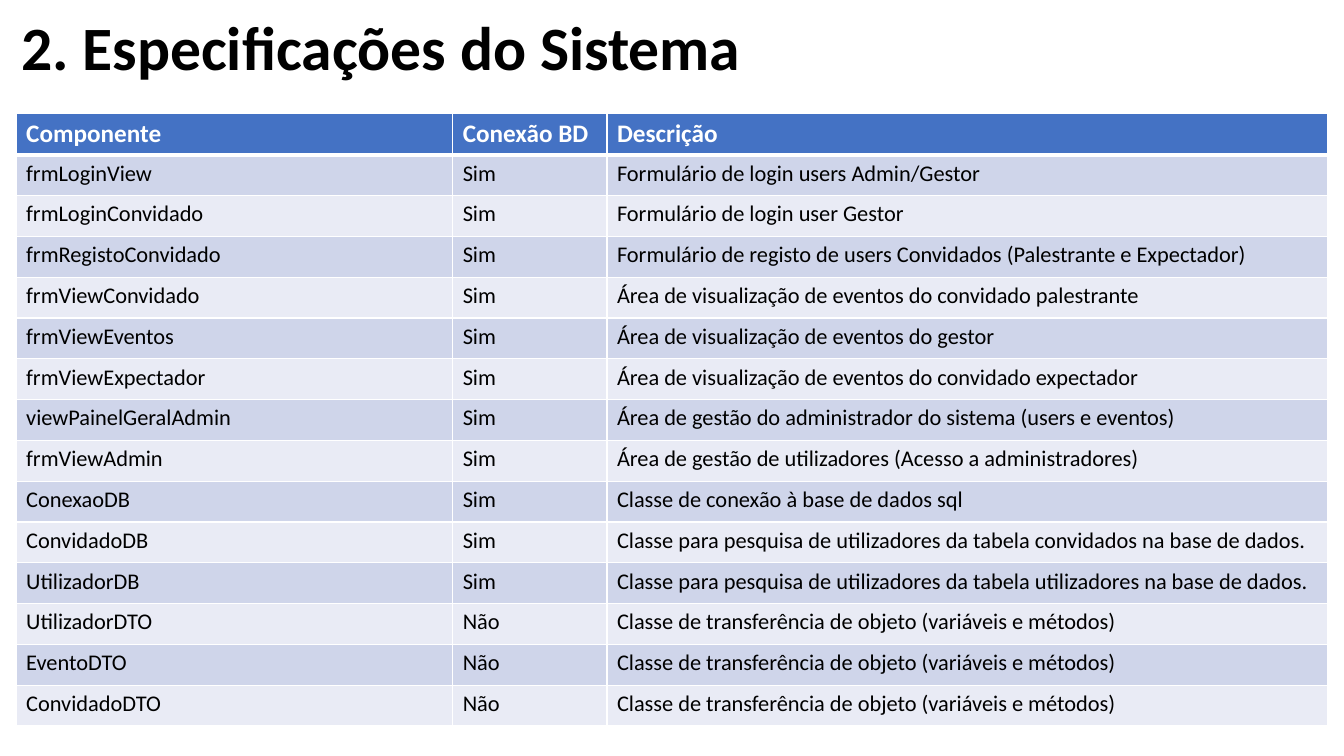
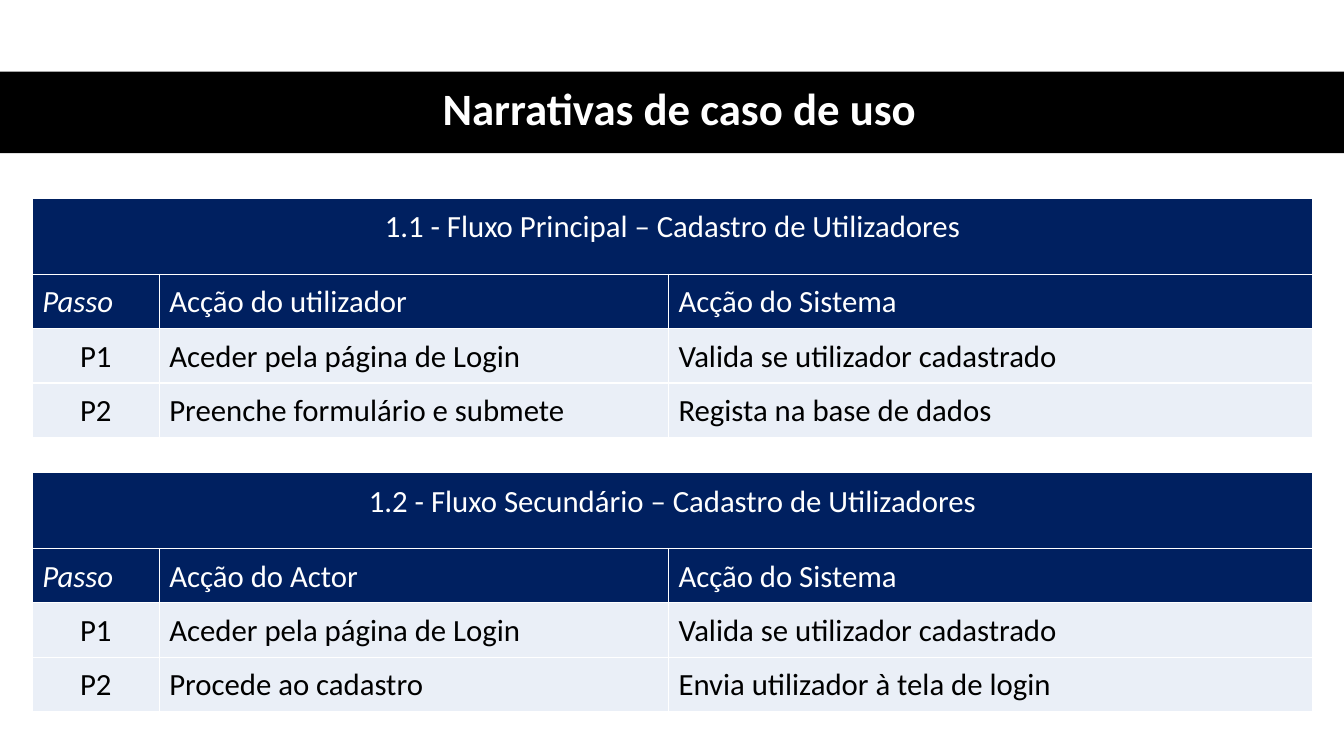
"""Build two slides: system components and use case narratives."""
from lxml import etree
from pptx import Presentation
from pptx.dml.color import RGBColor
from pptx.enum.shapes import MSO_SHAPE
from pptx.enum.text import MSO_ANCHOR, PP_ALIGN
from pptx.oxml.ns import qn
from pptx.util import Inches, Pt

LEFT, CENTER = PP_ALIGN.LEFT, PP_ALIGN.CENTER
TOP, MIDDLE = MSO_ANCHOR.TOP, MSO_ANCHOR.MIDDLE
RECTANGLE = MSO_SHAPE.RECTANGLE
FONT = "Calibri"
COLORS = {
    "black": "000000",
    "white": "FFFFFF",
    "blue": "4472C4",
    "band_dark": "CFD5EA",
    "band_light": "E9EBF5",
    "navy": "002060",
    "pale": "EAEFF7",
}

COMPONENTS_TITLE = "2. Especificações do Sistema"
COMPONENTS_HEADER = ("Componente", "Conexão BD", "Descrição")
TRANSFER_CLASS = "Classe de transferência de objeto (variáveis e métodos)"
COMPONENTS = [
    ("frmLoginView", "Sim", "Formulário de login users Admin/Gestor"),
    ("frmLoginConvidado", "Sim", "Formulário de login user Gestor"),
    ("frmRegistoConvidado", "Sim",
     "Formulário de registo de users Convidados (Palestrante e Expectador)"),
    ("frmViewConvidado", "Sim", "Área de visualização de eventos do convidado palestrante"),
    ("frmViewEventos", "Sim", "Área de visualização de eventos do gestor"),
    ("frmViewExpectador", "Sim", "Área de visualização de eventos do convidado expectador"),
    ("viewPainelGeralAdmin", "Sim",
     "Área de gestão do administrador do sistema (users e eventos)"),
    ("frmViewAdmin", "Sim", "Área de gestão de utilizadores (Acesso a administradores)"),
    ("ConexaoDB", "Sim", "Classe de conexão à base de dados sql"),
    ("ConvidadoDB", "Sim",
     "Classe para pesquisa de utilizadores da tabela convidados na base de dados."),
    ("UtilizadorDB", "Sim",
     "Classe para pesquisa de utilizadores da tabela utilizadores na base de dados."),
    ("UtilizadorDTO", "Não", TRANSFER_CLASS),
    ("EventoDTO", "Não", TRANSFER_CLASS),
    ("ConvidadoDTO", "Não", TRANSFER_CLASS),
]
COMPONENT_COLUMNS = (4.33, 1.53, 7.15)
COMPONENT_ROW = 0.405

NARRATIVES_TITLE = "Narrativas de caso de uso"
NARRATIVES = [
    ("1.1 - Fluxo Principal – Cadastro de Utilizadores", [
        ("Passo", "Acção do utilizador", "Acção do Sistema"),
        ("P1", "Aceder pela página de Login", "Valida se utilizador cadastrado"),
        ("P2", "Preenche formulário e submete", "Regista na base de dados"),
    ]),
    ("1.2 - Fluxo Secundário – Cadastro de Utilizadores", [
        ("Passo", "Acção do Actor", "Acção do Sistema"),
        ("P1", "Aceder pela página de Login", "Valida se utilizador cadastrado"),
        ("P2", "Procede ao cadastro", "Envia utilizador à tela de login"),
    ]),
]
NARRATIVE_COLUMNS = (1.26, 5.05, 6.39)
NARRATIVE_ROWS = (0.75, 0.54, 0.54, 0.54)
NARRATIVE_TOP, NARRATIVE_STEP = 1.97, 2.72


def color(name):
    return RGBColor.from_string(COLORS[name])


def write(frame, text, size, ink="black", bold=False, italic=False, align=LEFT, spacing=1.0):
    paragraph = frame.paragraphs[0]
    paragraph.alignment = align
    paragraph.line_spacing = spacing
    run = paragraph.add_run()
    run.text = text
    font = run.font
    font.name, font.size, font.bold, font.italic = FONT, Pt(size), bold, italic
    font.color.rgb = color(ink)


def add_titled_slide(text, box, **text_format):
    slide = presentation.slides.add_slide(presentation.slide_layouts[5])
    title = slide.shapes.title
    title.left, title.top, title.width, title.height = map(Inches, box)
    title.text_frame.word_wrap = True
    title.text_frame.vertical_anchor = MIDDLE
    write(title.text_frame, text, bold=True, spacing=0.9, **text_format)
    return slide


def add_grid(slide, left, top, columns, rows):
    frame = slide.shapes.add_table(len(rows), len(columns), Inches(left), Inches(top),
                                   Inches(sum(columns)), Inches(sum(rows)))
    table = frame.table
    for column, width in zip(table.columns, columns):
        column.width = Inches(width)
    for row, height in zip(table.rows, rows):
        row.height = Inches(height)
    return table


def format_cell(cell, fill, anchor=TOP, insets=(0.1, 0.05, 0.1, 0.05), top=1, bottom=1):
    properties = cell._tc.get_or_add_tcPr()
    for side, width in (("L", 1), ("R", 1), ("T", top), ("B", bottom)):
        line = etree.SubElement(properties, qn(f"a:ln{side}"), w=str(Pt(width)))
        solid = etree.SubElement(line, qn("a:solidFill"))
        etree.SubElement(solid, qn("a:srgbClr"), val=COLORS["white"])
    cell.fill.solid()
    cell.fill.fore_color.rgb = color(fill)
    cell.vertical_anchor = anchor
    cell.margin_left, cell.margin_top, cell.margin_right, cell.margin_bottom = map(Inches, insets)


def add_components(slide):
    rows = [COMPONENTS_HEADER] + COMPONENTS
    table = add_grid(slide, 0.16, 1.13, COMPONENT_COLUMNS, [COMPONENT_ROW] * len(rows))
    for row, texts in enumerate(rows):
        header = row == 0
        fill = "blue" if header else ("band_light", "band_dark")[row % 2]
        for column, text in enumerate(texts):
            cell = table.cell(row, column)
            format_cell(cell, fill, top=3 if row == 1 else 1, bottom=3 if header else 1)
            write(cell.text_frame, text, 18 if header else 16,
                  ink="white" if header else "black", bold=header)


def add_narrative(slide, top, heading, rows):
    table = add_grid(slide, 0.32, top, NARRATIVE_COLUMNS, NARRATIVE_ROWS)
    for column in range(len(NARRATIVE_COLUMNS)):
        format_cell(table.cell(0, column), "navy", insets=(0.2, 0.1, 0.2, 0.1))
    table.cell(0, 0).merge(table.cell(0, len(NARRATIVE_COLUMNS) - 1))
    write(table.cell(0, 0).text_frame, heading, 22, ink="white", align=CENTER)
    for row, texts in enumerate(rows, 1):
        header = row == 1
        for column, text in enumerate(texts):
            cell = table.cell(row, column)
            format_cell(cell, "navy" if header else "pale", MIDDLE, (0.1, 0.02, 0.1, 0))
            step = column == 0
            write(cell.text_frame, text, 22, ink="white" if header else "black",
                  italic=header and step, align=CENTER if step and not header else LEFT)


presentation = Presentation()
presentation.slide_width, presentation.slide_height = Inches(13.33), Inches(7.5)

components_slide = add_titled_slide(COMPONENTS_TITLE, (0.11, 0.06, 11.5, 0.89), size=44)
add_components(components_slide)

narratives_slide = add_titled_slide(NARRATIVES_TITLE, (0.61, 0.7, 12.26, 0.81),
                                    size=32, ink="white", align=CENTER)
band = narratives_slide.shapes.add_shape(RECTANGLE, 0, Inches(0.71),
                                         presentation.slide_width, Inches(0.81))
band.shadow.inherit = False
band.fill.solid()
band.fill.fore_color.rgb = color("black")
band.line.fill.background()
narratives_slide.shapes.title.element.addprevious(band.element)
for index, (heading, rows) in enumerate(NARRATIVES):
    add_narrative(narratives_slide, NARRATIVE_TOP + index * NARRATIVE_STEP, heading, rows)

presentation.save("out.pptx")
